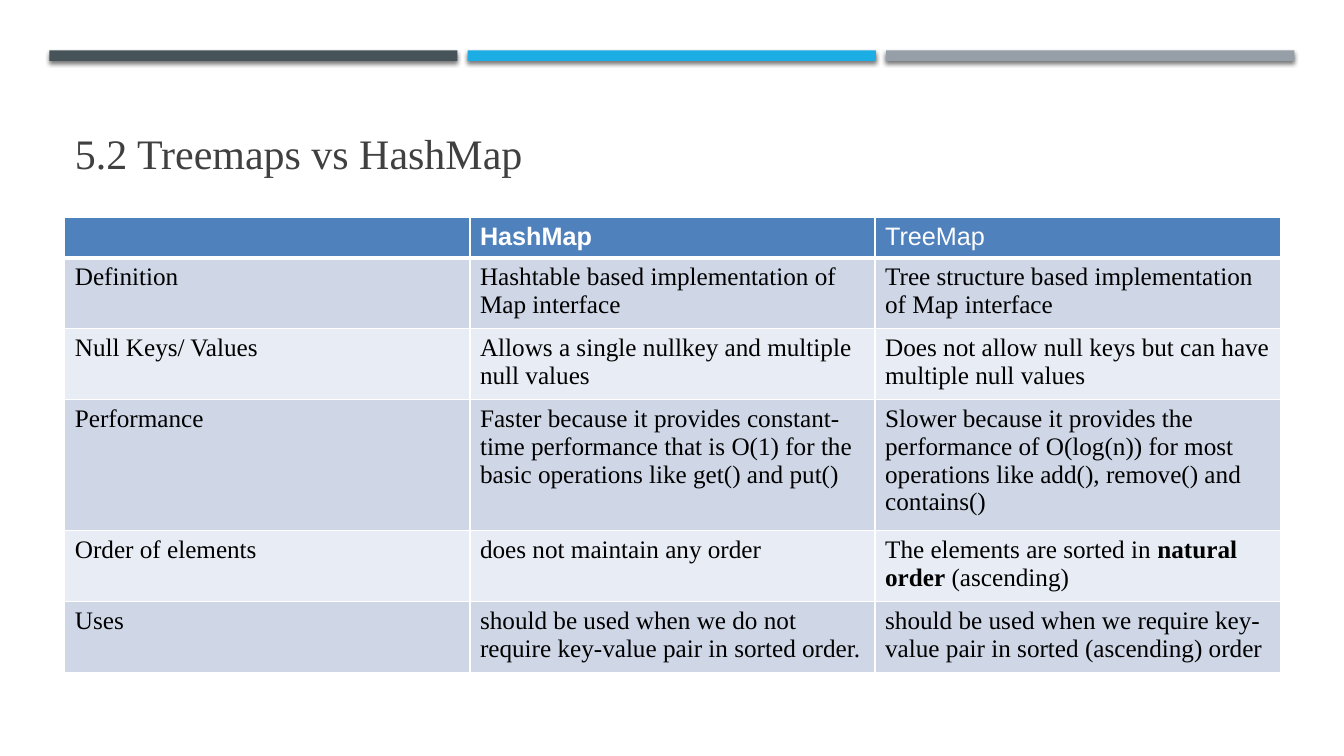
from lxml.etree import SubElement
from pptx import Presentation
from pptx.dml.color import RGBColor
from pptx.enum.shapes import MSO_SHAPE
from pptx.enum.text import MSO_ANCHOR, MSO_AUTO_SIZE, PP_ALIGN
from pptx.oxml.ns import qn
from pptx.util import Pt

COLORS = {
    "slate": "465359", "sky": "1CADE4", "gray": "969FA7",
    "title": "404040", "header": "4F81BD", "white": "FFFFFF",
    "black": "000000", "odd": "CFD7E7", "even": "E8ECF4",
}
SERIF, SANS = "Times New Roman", "Arial"

# Double asterisks enclose bold words
COMPARISON = [
    ["", "**HashMap**", "TreeMap"],
    ["Definition",
     "Hashtable based implementation of Map interface",
     "Tree structure based implementation of Map interface"],
    ["Null Keys/ Values",
     "Allows a single nullkey and multiple null values",
     "Does not allow null keys but can have multiple null values"],
    ["Performance",
     "Faster because it provides constant-time performance that is O(1) "
     "for the basic operations like get() and put()",
     "Slower because it provides the performance of O(log(n)) "
     "for most operations like add(), remove() and contains()"],
    ["Order of elements",
     "does not maintain any order",
     "The elements are sorted in **natural order** (ascending)"],
    ["Uses",
     "should be used when we do not require key-value pair in sorted order.",
     "should be used when we require key-value pair in sorted (ascending) order"],
]
ROW_HEIGHTS = [28.8, 50.6, 50.6, 93.6, 50.6, 50.6]


class ComparisonSlide:
    def __init__(self, prs):
        self.slide = prs.slides.add_slide(prs.slide_layouts[5])

    def color(self, name):
        return RGBColor.from_string(COLORS[name])

    def style(self, font, name, size, color):
        font.name, font.size = name, Pt(size)
        font.color.rgb = self.color(color)

    def bar(self, left, top, width, height, color):
        bar = self.slide.shapes.add_shape(
            MSO_SHAPE.RECTANGLE, Pt(left), Pt(top), Pt(width), Pt(height))
        bar.fill.solid()
        bar.fill.fore_color.rgb = self.color(color)
        bar.line.fill.background()
        bar.shadow.inherit = False
        # Soft shadow straight below
        effects = bar._element.spPr.find(qn("a:effectLst"))
        shadow = SubElement(effects, qn("a:outerShdw"), blurRad=str(Pt(3)),
                            dist=str(Pt(2)), dir="5400000", rotWithShape="0")
        black = SubElement(shadow, qn("a:srgbClr"), val=COLORS["black"])
        SubElement(black, qn("a:alpha"), val="55000")

    def title(self, text, left, top, width, height):
        title = self.slide.shapes.title
        title.left, title.top = Pt(left), Pt(top)
        title.width, title.height = Pt(width), Pt(height)
        frame = title.text_frame
        frame.text = text
        frame.word_wrap = True
        frame.auto_size = MSO_AUTO_SIZE.NONE
        frame.vertical_anchor = MSO_ANCHOR.BOTTOM
        heading = frame.paragraphs[0]
        heading.alignment = PP_ALIGN.LEFT
        self.style(heading.font, SERIF, 30, "title")

    def borders(self, cell, top, bottom):
        properties = cell._tc.get_or_add_tcPr()
        for side, width in (("L", 1), ("R", 1), ("T", top), ("B", bottom)):
            line = SubElement(properties, qn(f"a:ln{side}"), w=str(Pt(width)))
            fill = SubElement(line, qn("a:solidFill"))
            SubElement(fill, qn("a:srgbClr"), val=COLORS["white"])

    def cell(self, cell, text, row):
        self.borders(cell, 3 if row == 1 else 1, 3 if row == 0 else 1)
        cell.fill.solid()
        band = "header" if row == 0 else "odd" if row % 2 else "even"
        cell.fill.fore_color.rgb = self.color(band)
        paragraph = cell.text_frame.paragraphs[0]
        if row == 0:
            self.style(paragraph.font, SANS, 18, "white")
        else:
            self.style(paragraph.font, SERIF, 18, "black")
        for index, part in enumerate(text.split("**")):
            if part:
                run = paragraph.add_run()
                run.text = part
                run.font.bold = index % 2 == 1

    def table(self, rows, heights, left, top, width):
        table = self.slide.shapes.add_table(
            len(rows), len(rows[0]), Pt(left), Pt(top),
            Pt(width), Pt(sum(heights))).table
        for column in table.columns:
            column.width = Pt(width / len(rows[0]))
        for r, (texts, height) in enumerate(zip(rows, heights)):
            table.rows[r].height = Pt(height)
            for c, text in enumerate(texts):
                self.cell(table.cell(r, c), text, r)


def main():
    prs = Presentation()
    prs.slide_width, prs.slide_height = Pt(960), Pt(540)
    page = ComparisonSlide(prs)

    # Bars across the top
    for i, color in enumerate(("slate", "sky", "gray")):
        page.bar(35.2 + i * 298.9, 36, 291.6, 7.5, color)

    # Heading and comparison
    page.title("5.2 Treemaps vs HashMap", 46.3, 37.4, 868.2, 93.6)
    page.table(COMPARISON, ROW_HEIGHTS, 46.3, 155.5, 868.2)

    prs.save("out.pptx")


if __name__ == "__main__":
    main()
